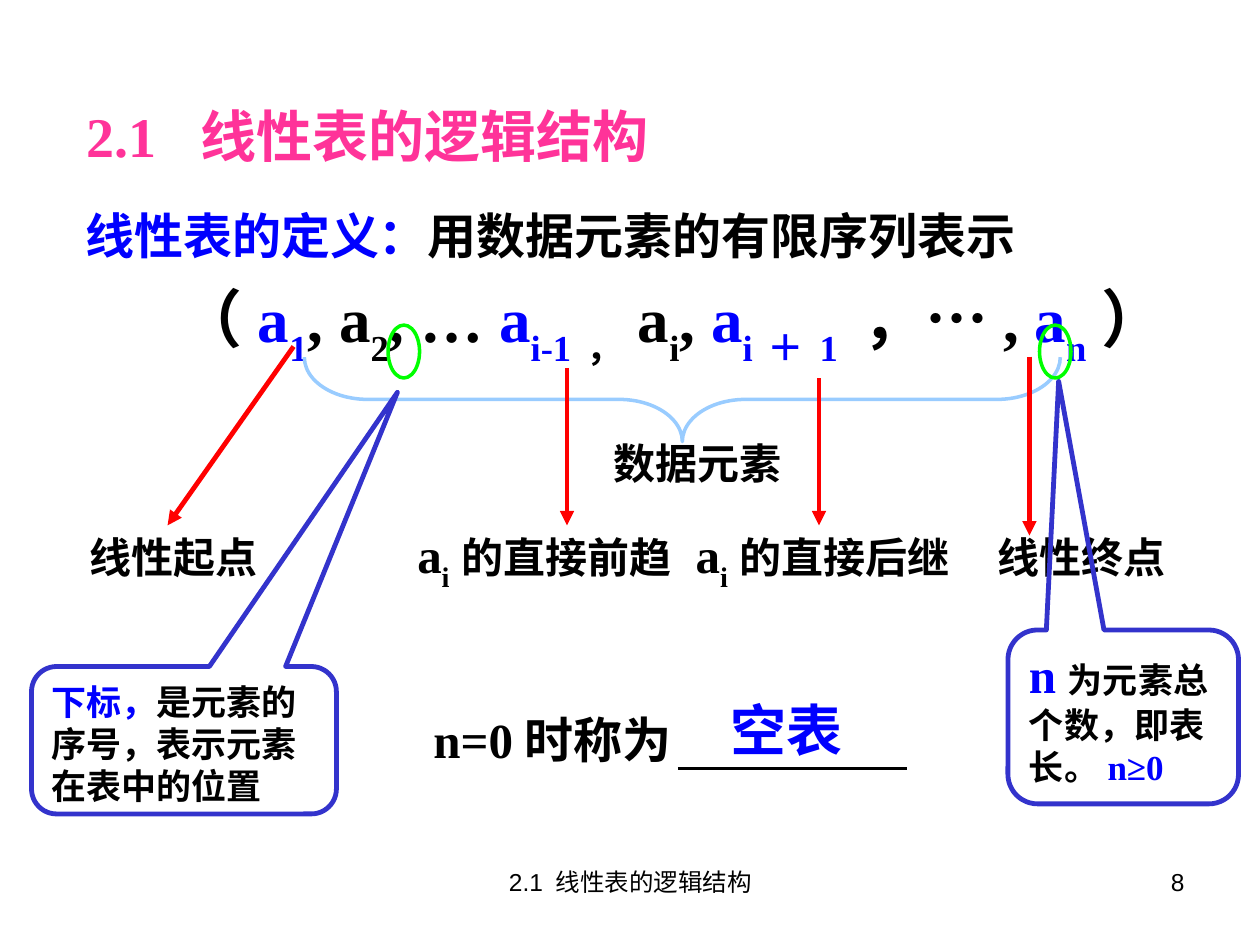
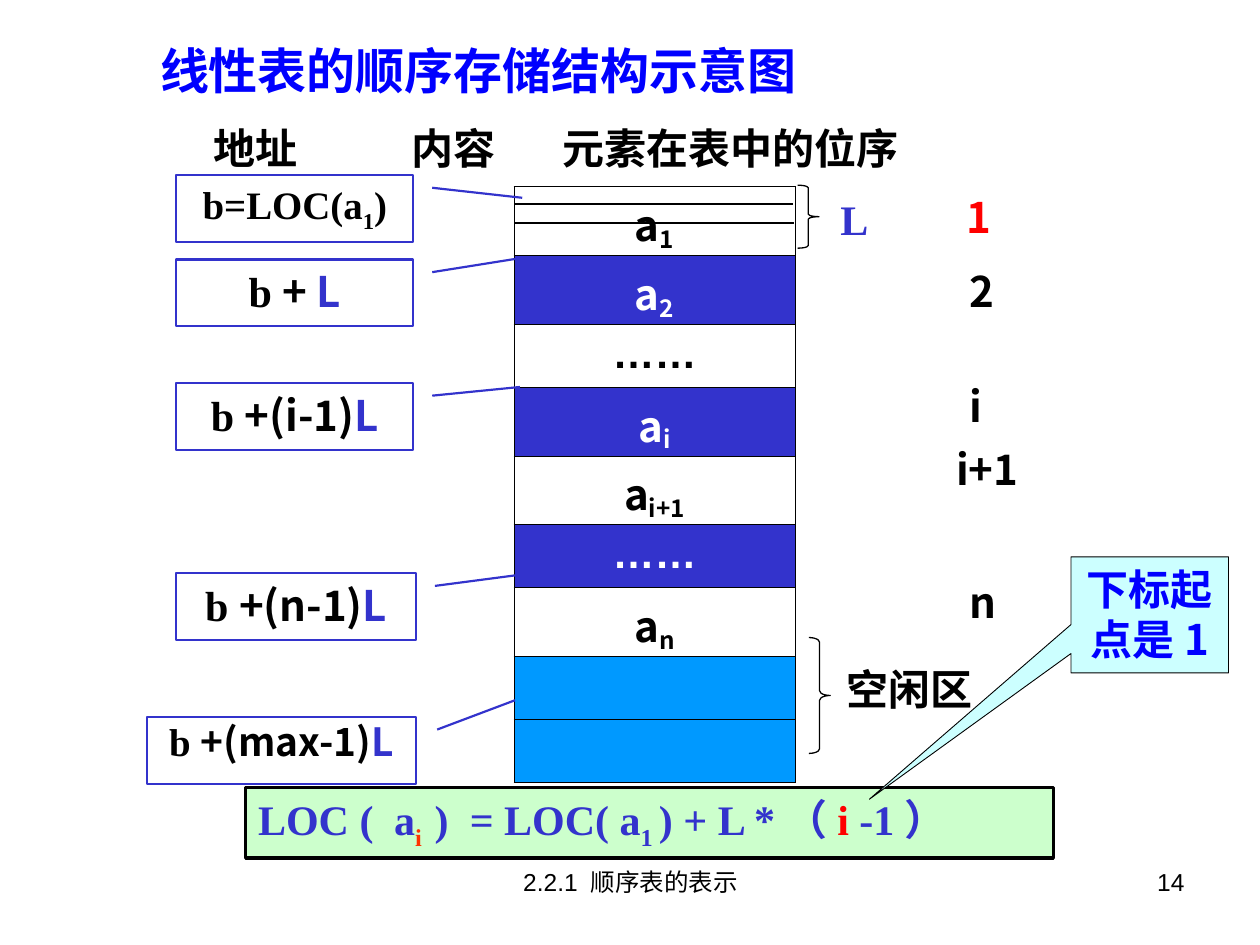
"""Builds two slides on the logic and sequential storage of linear lists."""
import pptx
import pptx.util
import pptx.dml.color
import pptx.enum.shapes
import pptx.enum.text
import pptx.oxml.ns
import lxml.etree

INK, BLUE, NAVY, RED, PINK = "000000", "0000FF", "3333CC", "FF0000", "FF3399"
WHITE, SKY, PALE, LIME, MINT, AQUA = "FFFFFF", "0099FF", "99CCFF", "00FF00", "CCFFCC", "CCFFFF"
TIMES, NOTO, ARIAL = "Times New Roman", "Noto Sans CJK SC", "Arial"
COLS, ROWS = 100, 75
FORM = pptx.enum.shapes.MSO_SHAPE
ALIGN = {"l": pptx.enum.text.PP_ALIGN.LEFT, "c": pptx.enum.text.PP_ALIGN.CENTER,
         "r": pptx.enum.text.PP_ALIGN.RIGHT, "j": pptx.enum.text.PP_ALIGN.JUSTIFY}
ANCHOR = {"t": pptx.enum.text.MSO_ANCHOR.TOP, "m": pptx.enum.text.MSO_ANCHOR.MIDDLE}


def hue(code):
    return pptx.dml.color.RGBColor.from_string(code)


def node(parent, tag, **attrs):
    item = lxml.etree.SubElement(parent, pptx.oxml.ns.qn("a:" + tag))
    for key, value in attrs.items():
        item.set(key, str(value))
    return item


def write(frame, runs, align="l", anchor="t", space=None, tabs=(), **style):
    style = {"size": 24, "font": TIMES, "color": INK, "bold": True, "base": 0, **style}
    frame.word_wrap = True
    frame.auto_size = pptx.enum.text.MSO_AUTO_SIZE.NONE
    frame.vertical_anchor = ANCHOR[anchor]
    para = frame.paragraphs[0]
    para.alignment = ALIGN[align]
    if space:
        para.line_spacing = space
    if tabs:
        stops = node(para._p.get_or_add_pPr(), "tabLst")
        for stop in tabs:
            node(stops, "tab", pos=int(pptx.util.Inches(stop)), algn="l")
    for part in [(runs, {})] if isinstance(runs, str) else runs:
        words, change = part
        style = {**style, **change}
        run = para.add_run()
        run.text = words
        run.font.size = pptx.util.Pt(style["size"])
        run.font.name = style["font"]
        run.font.bold = style["bold"]
        run.font.color.rgb = hue(style["color"])
        props = run._r.get_or_add_rPr()
        if style["base"]:
            props.set("baseline", str(style["base"] * 1000))
        east = lxml.etree.Element(pptx.oxml.ns.qn("a:ea"), typeface=NOTO)
        props.find(pptx.oxml.ns.qn("a:latin")).addnext(east)


class Deck:
    def __init__(self):
        self.show = pptx.Presentation()
        self.show.slide_width = pptx.util.Inches(10)
        self.show.slide_height = pptx.util.Inches(7.5)
        self.slide = None

    def grid(self, x, y, *rest):
        col, row = self.show.slide_width / COLS, self.show.slide_height / ROWS
        return [round(n * (row if i % 2 else col)) for i, n in enumerate((x, y, *rest))]

    def start(self, title, box, foot, page, **style):
        self.slide = self.show.slides.add_slide(self.show.slide_layouts[5])
        head = self.slide.shapes.title
        head.left, head.top, head.width, head.height = self.grid(*box)
        write(head.text_frame, title, anchor="m", **style)
        plain = {"size": 14, "font": ARIAL, "bold": False}
        self.text(foot, 34.2, 68.3, 31.7, 5.2, align="c", **plain)
        self.text(page, 71.7, 68.3, 23.3, 5.2, align="r", **plain)

    def text(self, runs, x, y, w, h=5, **style):
        box = self.slide.shapes.add_textbox(*self.grid(x, y, w, h))
        write(box.text_frame, runs, **style)

    def shape(self, form, box, line, width, fill=None, adj=(), turn=0, runs=None, **style):
        item = self.slide.shapes.add_shape(form, *self.grid(*box))
        item.shadow.inherit = False
        item.rotation = turn
        for i, value in enumerate(adj):
            item.adjustments[i] = value
        if fill:
            item.fill.solid()
            item.fill.fore_color.rgb = hue(fill)
        else:
            item.fill.background()
        item.line.color.rgb = hue(line)
        item.line.width = pptx.util.Pt(width)
        if runs:
            write(item.text_frame, runs, **style)

    def line(self, x1, y1, x2, y2, color=INK, width=0.75, arrow=False):
        kind = pptx.enum.shapes.MSO_CONNECTOR.STRAIGHT
        item = self.slide.shapes.add_connector(kind, *self.grid(x1, y1, x2, y2))
        item.line.color.rgb = hue(color)
        item.line.width = pptx.util.Pt(width)
        if arrow:
            node(item.line._get_or_add_ln(), "tailEnd", type="triangle")
        node(item._element.spPr, "effectLst")

    def stack(self, x, y, w, rows):
        high = [row[0] for row in rows]
        frame = self.slide.shapes.add_table(len(rows), 1, *self.grid(x, y, w, sum(high)))
        table = frame.table
        table.first_row = table.horz_banding = False
        for i, (tall, runs, fill, style) in enumerate(rows):
            table.rows[i].height = self.grid(0, tall)[1]
            cell = table.cell(i, 0)
            for side in "LRTB":
                edge = node(cell._tc.get_or_add_tcPr(), "ln" + side, w=5715)
                node(node(edge, "solidFill"), "srgbClr", val=INK)
            cell.fill.solid()
            cell.fill.fore_color.rgb = hue(fill)
            cell.margin_top = pptx.util.Inches(0.05)
            cell.margin_bottom = 0
            if runs:
                write(cell.text_frame, runs, align="c", **style)


def logic(deck):
    deck.start("2.1\t线性表的逻辑结构", (5.9, 7.6, 74.2, 6.3), "2.1 线性表的逻辑结构", "8",
               size=32, color=PINK, tabs=[0.9])
    blue, ink = {"color": BLUE, "base": 0}, {"color": INK, "base": 0}
    sub = {"base": -30}
    deck.text([("（", {}), ("a", blue), ("1", sub), (", a", ink), ("2", sub), (", … ", ink),
               ("a", blue), ("i-1", sub), ("，", {"color": INK}), ("a", ink), ("i", sub),
               (", ", ink), ("a", blue), ("i＋1 ", sub), ("，…, ", ink), ("a", blue),
               ("n", sub), ("）", ink)], 10, 21.7, 86.7, 19.1, size=36, align="c")
    deck.text([("线性表的定义：", blue), ("用数据元素的有限序列表示", ink)],
              5.8, 15.8, 86.7, 5.7, size=28, align="j")
    deck.text("n=0时称为", 30.8, 55.8, 26.1, 5.7, size=28, align="c")
    deck.shape(FORM.RIGHT_BRACE, (50.8, 1.7, 6.7, 60), PALE, 2, adj=[0.75, 0.5], turn=90)
    for words, x, y, w in (("数据元素", 46.6, 34.2, 17.6), ("线性起点", 5, 41.7, 17.5),
                           ("线性终点", 76.6, 41.7, 18.4)):
        deck.text(words, x, y, w, align="c")
    for words, x, w in (("的直接前趋", 30.6, 25.2), ("的直接后继", 53.1, 24.4)):
        deck.text([("a", {"size": 28}), ("i", sub), (words, {"size": 24, "base": 0})],
                  x, 41.1, w, 6.5, align="c")
    for ends in ((23.3, 27.5, 13.3, 41.7), (81.7, 28.3, 81.7, 42.5),
                 (45, 29.2, 45, 41.7), (65, 30, 65, 41.7)):
        deck.line(*ends, RED, 2.75, arrow=True)
    notes = (((2.5, 52.9, 24.2, 11.7), [0.7, -2.36, 0.17],
              [("下标，", blue), ("是元素的序号，表示元素在表中的位置", ink)]),
             ((80, 50, 18.3, 13.8), [-0.28, -1.93, 0.17],
              [("n", {**blue, "size": 28}), ("为元素总个数，即表长。", {**ink, "size": 20}),
               ("n≥0", blue)]))
    for box, adj, runs in notes:
        deck.shape(FORM.ROUNDED_RECTANGULAR_CALLOUT, box, NAVY, 2.75, adj=adj, runs=runs, size=20)
    deck.text("空表", 56.6, 54.7, 11.7, 6.4, size=32, color=BLUE, align="c")
    for x in (30.8, 82.5):
        deck.shape(FORM.OVAL, (x, 25.8, 2.5, 4.2), LIME, 2)
    deck.line(53.8, 61, 72, 61, INK, 1.75)


def store(deck):
    deck.start("线性表的顺序存储结构示意图", (11.7, 2.7, 56, 5.7), "2.2.1 顺序表的表示", "14",
               size=28, font="Montserrat", color=BLUE)
    rows = []
    for i, sub in enumerate(("1", "2", "", "i", "i+1", "", "n")):
        runs = [("a", {}), (sub, {"base": -16})] if sub else "……"
        fill, color = ((WHITE, INK), (NAVY, WHITE))[i % 2]
        style = {"font": NOTO if sub else ARIAL, "color": color}
        rows.append((5.3 if sub else 5, runs, fill, style))
    deck.stack(40.8, 14.8, 22.3, rows + [(5, None, SKY, {})] * 2)
    deck.text("\t地址\t内容\t元素在表中的位序", 12.2, 9.2, 85.3, font=NOTO,
              tabs=[0.38, 1.95, 3.15])
    for words, x, y, w, color in (("1", 75.7, 14.7, 4, RED), ("2", 76, 20.6, 4, INK),
                                  ("i", 76, 29.7, 4, INK), ("i+1", 74.9, 34.7, 10.4, INK),
                                  ("n", 76, 45.3, 4, INK)):
        deck.text(words, x, y, w, font=NOTO, color=color)
    for x, y, high, bend in ((64.2, 50.6, 9.2, 0.22), (63.3, 14.7, 5, 0.12)):
        deck.shape(FORM.RIGHT_BRACE, (x, y, 1.7, high), INK, 0.75, adj=[bend, 0.5])
    deck.text("空闲区", 66.2, 52.2, 13.3)
    deck.text("L", 65.7, 14.9, 4.2, color=NAVY, align="c")
    for x1, y, x2 in ((40.8, 16.2, 62.9), (40.9, 17.7, 63), (40.8, 14.8, 48.7)):
        deck.line(x1, y, x2, y)

    first = [("b=LOC(a", {}), ("1", {"base": -25}), (")", {"base": 0})]
    spots = ((None, 14, 13.9, 18.8, 0.34, 1.46), ("+ ", 14, 20.6, 18.8, -0.02, 1.45),
             ("+(i-1)", 14, 30.4, 18.8, 0.06, 1.45), ("+(n-1)", 14, 45.5, 19, 0.03, 1.42),
             ("+(max-1)", 11.7, 56.9, 21.3, -0.25, 1.37))
    for step, x, y, w, tip, reach in spots:
        runs = [("b ", {}), (step, {"font": NOTO}), ("L", {"color": NAVY})] if step else first
        tight = step in (None, "+(max-1)")
        deck.shape(FORM.LINE_CALLOUT_1, (x, y, w, 5.3), NAVY, 1.25,
                   adj=[0.19, 1.08, tip, reach], runs=runs, align="c",
                   size=22.2 if tight else 24, space=0.9 if tight else None)

    navy = {"color": NAVY, "base": 0}
    deck.shape(FORM.RECTANGLE, (19.5, 62.5, 64.1, 5.6), INK, 2, fill=MINT,
               tabs=[1.08, 1.4, 1.68],
               runs=[("LOC (\ta", navy), ("i\t", {"color": "FF3300", "base": -25}),
                     (")\t= LOC( a", navy), ("1 ", {"base": -25}), (") + L *（", navy),
                     ("i", {"color": RED}), (" -1）", navy)])
    deck.shape(FORM.RECTANGULAR_CALLOUT, (85, 44.2, 12.5, 9.2), INK, 0.5, fill=AQUA,
               adj=[-1.78, 1.59], runs="下标起点是1", font=NOTO, color=BLUE, align="c")


def main():
    deck = Deck()
    logic(deck)
    store(deck)
    deck.show.save("out.pptx")


if __name__ == "__main__":
    main()
